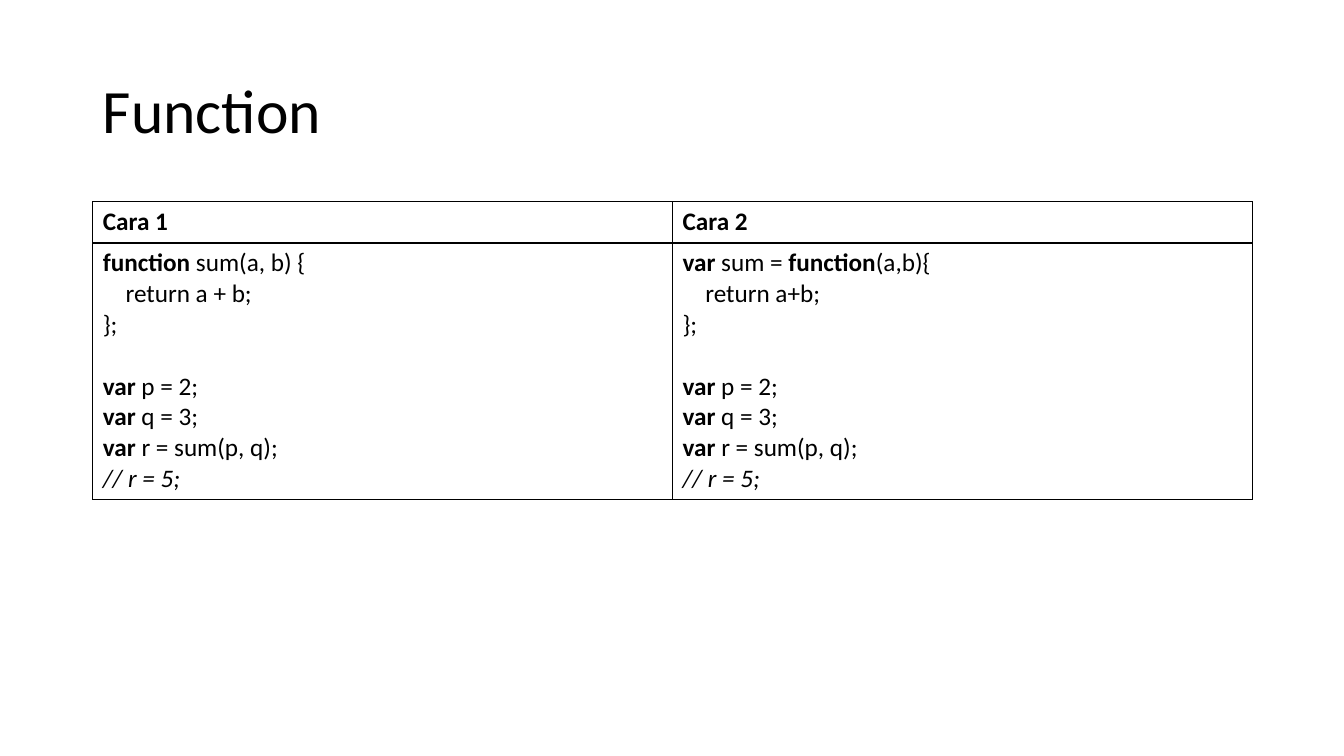
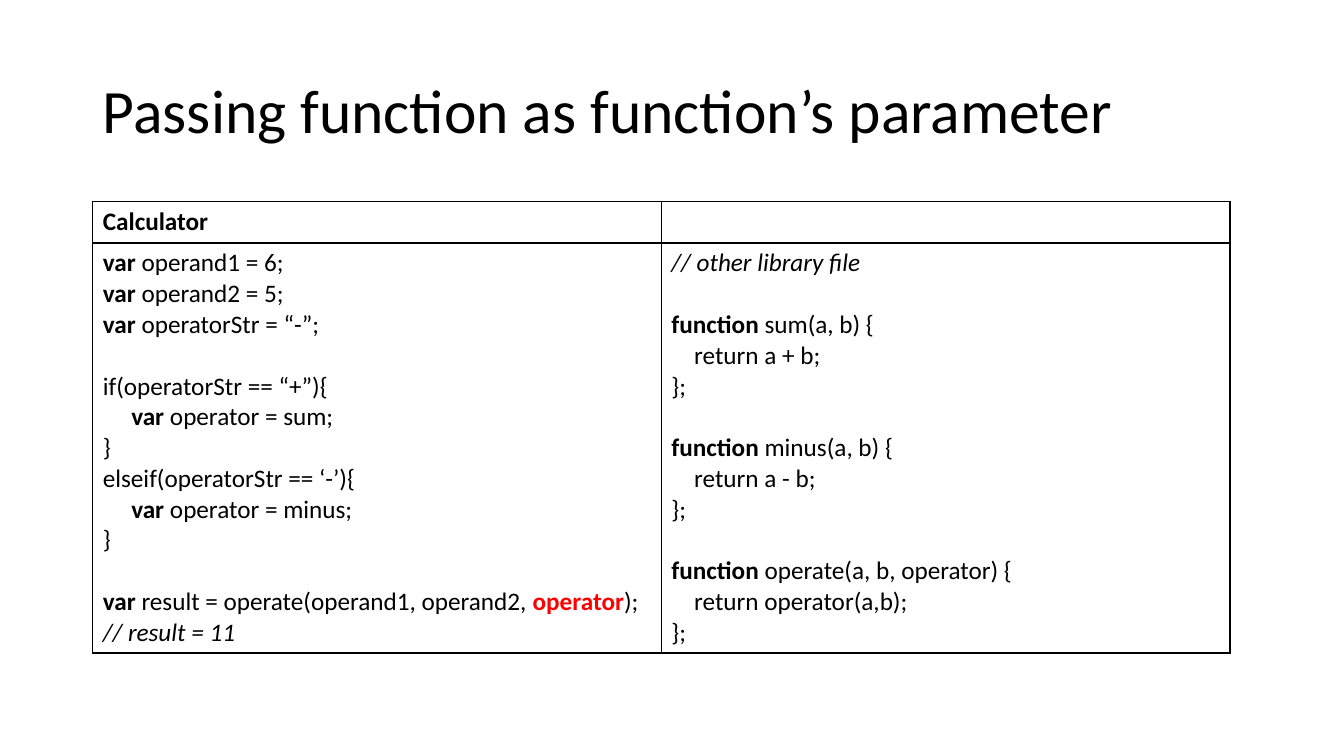
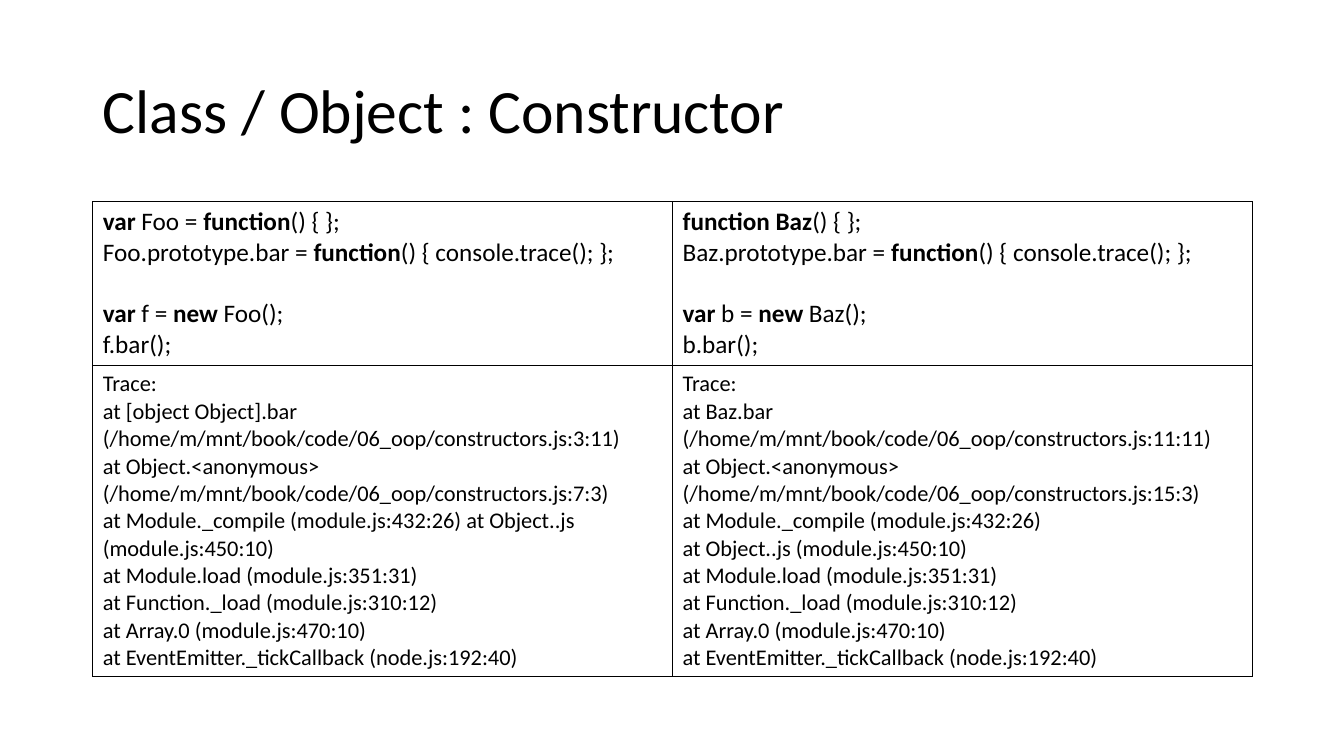
from lxml import etree
from pptx import Presentation
from pptx.dml.color import RGBColor
from pptx.enum.text import MSO_ANCHOR, PP_ALIGN
from pptx.oxml.ns import qn
from pptx.util import Inches, Pt

LEFT = PP_ALIGN.LEFT
MIDDLE = MSO_ANCHOR.MIDDLE
TITLE_ONLY = 5


class Theme:
    font = "Calibri"
    text = RGBColor(0x00, 0x00, 0x00)
    accent = RGBColor(0xFF, 0x00, 0x00)
    border = "000000"
    border_width = Pt(1)
    title_size = 44
    code_size = 18
    trace_size = 16
    line_height = 1.22
    left = 0.92
    table_top = 2
    title_box = {"left": left, "top": 0.4, "width": 11.5, "height": 1.45}


# In cell text, *...* is bold, *#...* is bold in the accent colour,
# and a line that starts with // is italic.
SUM_CALL = """

*var* p = 2;
*var* q = 3;
*var *r = sum(p, q);
// r = 5;"""

FUNCTION_DECLARATION = """*function *sum(a, b) {
    return a + b;
};""" + SUM_CALL

FUNCTION_EXPRESSION = """*var* sum = *function*(a,b){
    return a+b;
};""" + SUM_CALL

CALCULATOR = """*var *operand1 = 6;
*var *operand2 = 5;
*var *operatorStr = “-”;

if(operatorStr == “+”){
*     var* operator = sum;
}
elseif(operatorStr == ‘-’){
*     var* operator = minus;
}

*var *result = operate(operand1, operand2, *#operator*);
// result = 11"""

LIBRARY = """// other library file

*function *sum(a, b) {
    return a + b;
};

*function *minus(a, b) {
    return a - b;
};

*function *operate(a, b, operator) {
    return operator(a,b);
};"""

CONSTRUCTOR = """{head}() {{ }};
{cls}.prototype.bar = *function*() {{ console.trace(); }};

*var* {var} = *new* {cls}();
{var}.bar();"""

TRACE = """Trace:
at {caller}.bar (/home/m/mnt/book/code/06_oop/constructors.js:{bar_pos})
at Object.<anonymous> (/home/m/mnt/book/code/06_oop/constructors.js:{call_pos})
at Module._compile (module.js:432:26){gap}at Object..js (module.js:450:10)
at Module.load (module.js:351:31)
at Function._load (module.js:310:12)
at Array.0 (module.js:470:10)
at EventEmitter._tickCallback (node.js:192:40)"""


def add_run(p, text, size, **extra):
    r = p.add_run()
    r.text = text
    style = {"name": Theme.font, "size": Pt(size), "bold": False, "italic": False}
    color = extra.pop("color", Theme.text)
    for name, value in {**style, **extra}.items():
        setattr(r.font, name, value)
    r.font.color.rgb = color


def add_title_slide(prs, title):
    slide = prs.slides.add_slide(prs.slide_layouts[TITLE_ONLY])
    sp = slide.shapes.title
    for name, value in Theme.title_box.items():
        setattr(sp, name, Inches(value))
    tf = sp.text_frame
    tf.word_wrap = True
    tf.vertical_anchor = MIDDLE
    p = tf.paragraphs[0]
    p.alignment = LEFT
    p.line_spacing = 0.9
    add_run(p, title, Theme.title_size)
    return slide


def write_code(tf, text, size):
    """Write one paragraph a line; an empty line becomes space before the next."""
    p, after_gap = None, False
    for line in text.split("\n"):
        if not line:
            after_gap = True
            continue
        p = tf.add_paragraph() if p else tf.paragraphs[0]
        if after_gap:
            p.space_before = Pt(round(size * Theme.line_height))
            after_gap = False
        italic = line.startswith("//")
        for i, part in enumerate(line.split("*")):
            if part:
                color = Theme.accent if part.startswith("#") else Theme.text
                add_run(p, part.lstrip("#"), size, bold=i % 2 == 1,
                        italic=italic, color=color)


def set_borders(cell):
    tcPr = cell._tc.get_or_add_tcPr()
    for side in ("a:lnL", "a:lnR", "a:lnT", "a:lnB"):
        ln = etree.SubElement(tcPr, qn(side), w=str(Theme.border_width))
        fill = etree.SubElement(ln, qn("a:solidFill"))
        etree.SubElement(fill, qn("a:srgbClr"), val=Theme.border)


def add_code_table(slide, rows, heights, col_width=5.75, sizes=None):
    sizes = sizes or [Theme.code_size] * len(rows)
    cols = len(rows[0])
    table = slide.shapes.add_table(
        len(rows), cols, Inches(Theme.left), Inches(Theme.table_top),
        Inches(col_width * cols), Inches(sum(heights))).table
    table.first_row = table.horz_banding = False
    for col in table.columns:
        col.width = Inches(col_width)
    for i, (texts, height, size) in enumerate(zip(rows, heights, sizes)):
        table.rows[i].height = Inches(height)
        for j, text in enumerate(texts):
            cell = table.cell(i, j)
            set_borders(cell)
            cell.fill.background()
            write_code(cell.text_frame, text, size)


def main():
    prs = Presentation()
    prs.slide_width, prs.slide_height = Inches(13.33), Inches(7.5)

    # Two ways to define a function
    slide = add_title_slide(prs, "Function")
    add_code_table(slide, [["*Cara 1*", "*Cara 2*"],
                           [FUNCTION_DECLARATION, FUNCTION_EXPRESSION]],
                   [0.41, 2.54])

    # Function as a parameter
    slide = add_title_slide(prs, "Passing function as function’s parameter")
    add_code_table(slide, [["*Calculator*", ""], [CALCULATOR, LIBRARY]],
                   [0.41, 4.06], col_width=5.64)

    # Constructors and their traces
    slide = add_title_slide(prs, "Class / Object : Constructor")
    constructors = [
        CONSTRUCTOR.format(head="*var* Foo = *function*", cls="Foo", var="f"),
        CONSTRUCTOR.format(head="*function Baz*", cls="Baz", var="b")]
    traces = [
        TRACE.format(caller="[object Object]", bar_pos="3:11",
                     call_pos="7:3", gap=" "),
        TRACE.format(caller="Baz", bar_pos="11:11",
                     call_pos="15:3", gap="\n")]
    add_code_table(slide, [constructors, traces], [1.62, 3.08],
                   sizes=[Theme.code_size, Theme.trace_size])

    prs.save("out.pptx")


if __name__ == "__main__":
    main()
